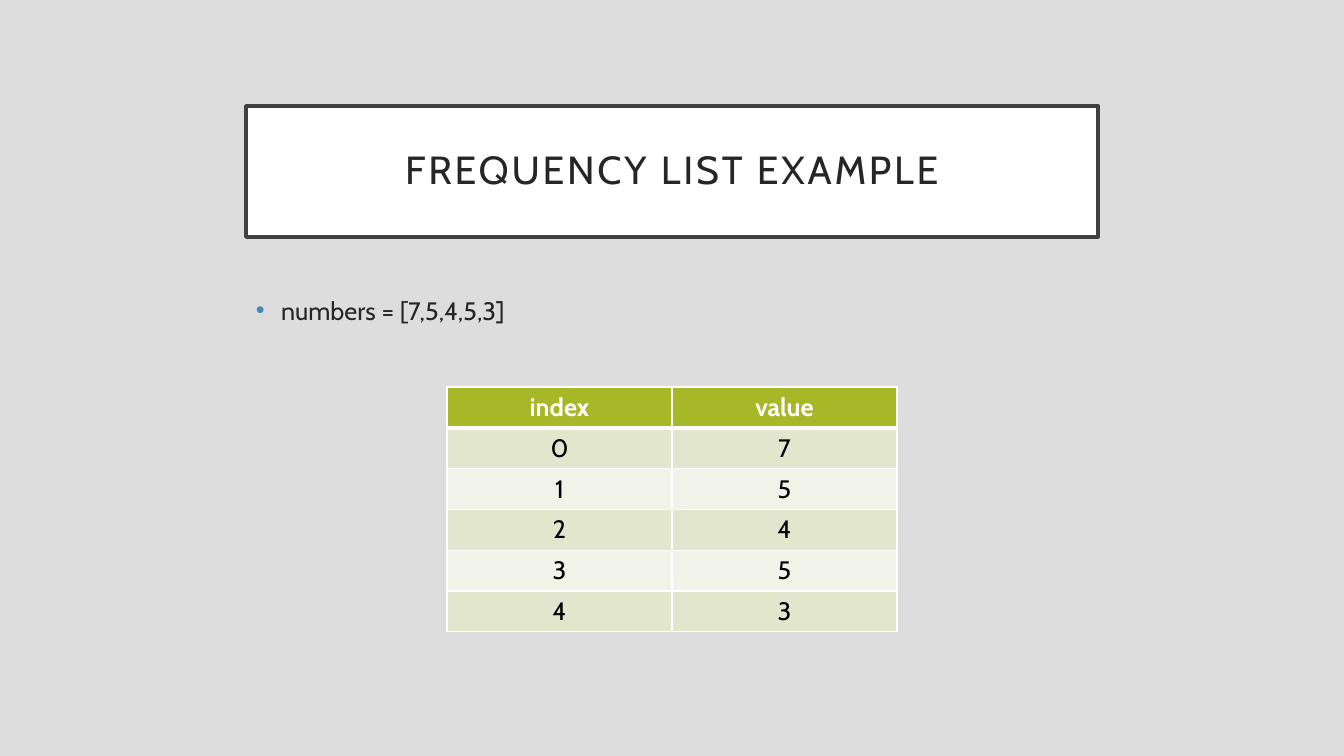
from lxml import etree
from pptx import Presentation
from pptx.dml.color import RGBColor
from pptx.enum.shapes import MSO_SHAPE
from pptx.enum.text import MSO_ANCHOR, PP_ALIGN
from pptx.oxml.ns import qn
from pptx.util import Emu, Pt

RECT = MSO_SHAPE.RECTANGLE
MIDDLE = MSO_ANCHOR.MIDDLE
CENTER = PP_ALIGN.CENTER
FONT = "Cabin"
INK = "262626"
WHITE = "FFFFFF"
HEAD = "A6B727"
BANDS = ["E1E6CD", "F1F3E8"]
ROWS = [("index", "value"), ("0", "7"), ("1", "5"), ("2", "4"), ("3", "5"), ("4", "3")]


def px(n):
    return Emu(round(n * 914400 / 100.8))


def rgb(code):
    return RGBColor.from_string(code)


def paint(fill, code):
    fill.solid()
    fill.fore_color.rgb = rgb(code)


def style(para, size, code, bold=False):
    font = para.font
    font.name = FONT
    font.size = Pt(size)
    font.bold = bold
    font.color.rgb = rgb(code)


def add_title(slide, box, text):
    shape = slide.shapes.add_shape(RECT, *map(px, box))
    shape.shadow.inherit = False
    paint(shape.fill, WHITE)
    shape.line.color.rgb = rgb("404040")
    shape.line.width = Pt(2.5)
    frame = shape.text_frame
    frame.word_wrap = True
    frame.vertical_anchor = MIDDLE
    frame.margin_left = frame.margin_right = px(20)
    frame.margin_top = frame.margin_bottom = px(20)
    para = frame.paragraphs[0]
    para.text = text
    para.alignment = CENTER
    para.line_spacing = 0.9
    style(para, 28, INK)
    para.runs[0].font._element.set("spc", "200")


def add_body(slide, box, text):
    frame = slide.shapes.add_textbox(*map(px, box)).text_frame
    frame.word_wrap = True
    para = frame.paragraphs[0]
    para.text = text
    props = para._p.get_or_add_pPr()
    props.set("marL", "228600")
    props.set("indent", "-228600")
    tint = etree.SubElement(props, qn("a:buClr"))
    etree.SubElement(tint, qn("a:srgbClr"), val="418AB3")
    etree.SubElement(props, qn("a:buFont"), typeface="Arial")
    etree.SubElement(props, qn("a:buChar"), char="•")
    style(para, 18, INK)


def add_edge(cell, side, width):
    props = cell._tc.get_or_add_tcPr()
    line = etree.SubElement(props, qn("a:ln" + side), w=str(Pt(width)))
    fill = etree.SubElement(line, qn("a:solidFill"))
    etree.SubElement(fill, qn("a:srgbClr"), val=WHITE)


def add_grid(slide, box, rows):
    table = slide.shapes.add_table(len(rows), len(rows[0]), *map(px, box)).table
    for r, row in enumerate(rows):
        table.rows[r].height = px(box[3] / len(rows))
        for c, text in enumerate(row):
            cell = table.cell(r, c)
            widths = {"L": 1, "R": 1, "T": 3 if r == 1 else 1, "B": 3 if r == 0 else 1}
            for side, width in widths.items():
                add_edge(cell, side, width)
            paint(cell.fill, BANDS[(r - 1) % 2] if r else HEAD)
            para = cell.text_frame.paragraphs[0]
            para.text = text
            para.alignment = CENTER
            style(para, 18, "000000" if r else WHITE, r == 0)


def main():
    deck = Presentation()
    deck.slide_width = px(1344)
    deck.slide_height = px(756)
    slide = deck.slides.add_slide(deck.slide_layouts[6])
    paint(slide.background.fill, "DDDDDD")
    add_title(slide, (246, 106, 852, 131), "FREQUENCY LIST EXAMPLE")
    add_body(slide, (246, 290, 852, 342), "numbers = [7,5,4,5,3]")
    add_grid(slide, (447, 387, 450, 245), ROWS)
    deck.save("out.pptx")


if __name__ == "__main__":
    main()
